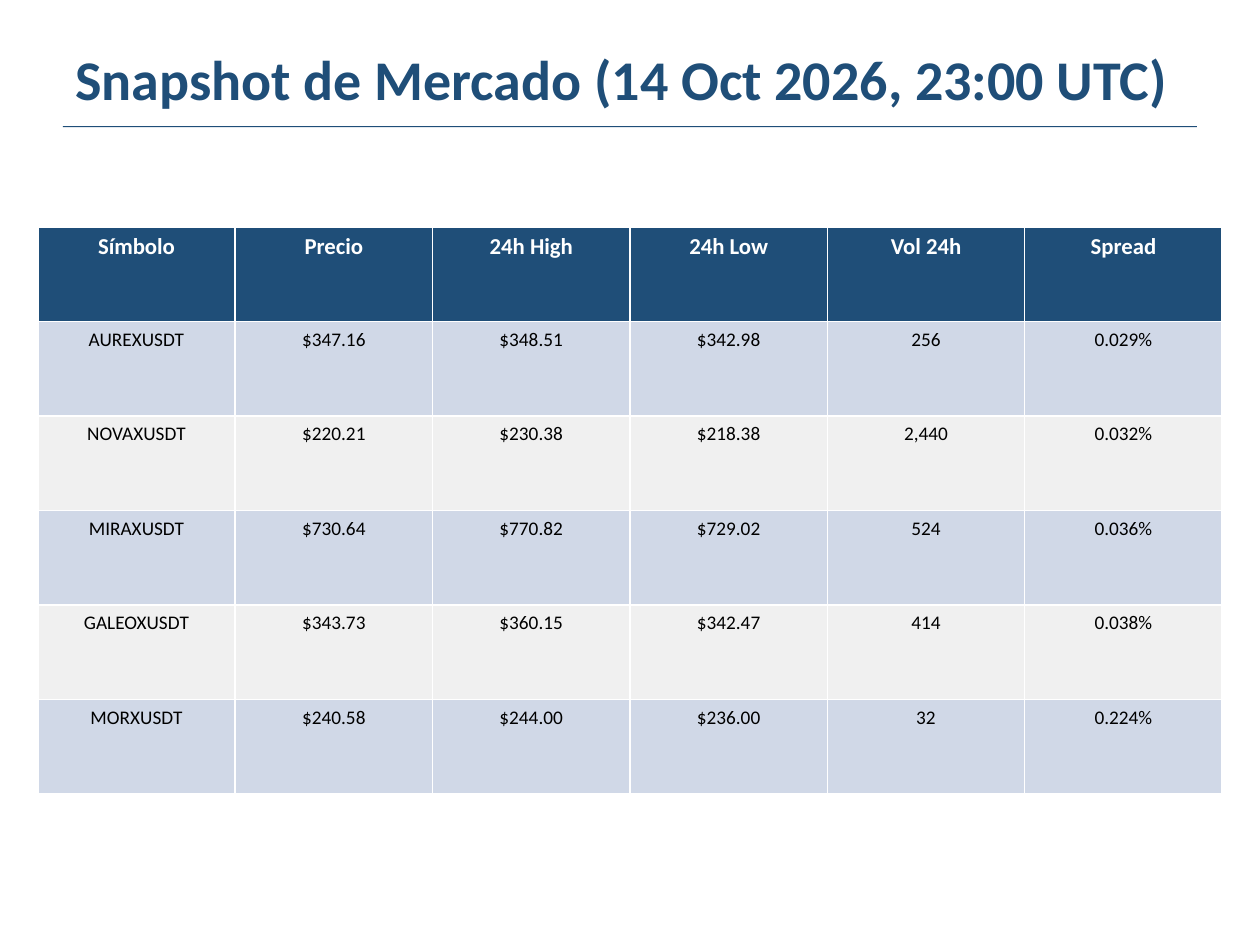
from dataclasses import dataclass

from lxml.etree import SubElement
from pptx import Presentation
from pptx.dml.color import RGBColor as RGB
from pptx.enum.shapes import MSO_SHAPE as Shape
from pptx.enum.text import MSO_AUTO_SIZE as AutoSize, PP_ALIGN as Align
from pptx.oxml.ns import qn
from pptx.util import Pt


@dataclass(frozen=True)
class Theme:
    font: str = "Calibri"
    navy: RGB = RGB(0x1F, 0x4E, 0x78)
    white: RGB = RGB(0xFF, 0xFF, 0xFF)
    black: RGB = RGB(0, 0, 0)
    blue_band: RGB = RGB(0xD0, 0xD8, 0xE7)
    gray_band: RGB = RGB(0xF0, 0xF0, 0xF0)
    title_size: float = 32
    header_size: float = 13
    body_size: float = 11
    border: float = 0.96


@dataclass(frozen=True)
class Box:
    left: float
    top: float
    width: float
    height: float

    def lengths(self) -> tuple:
        return Pt(self.left), Pt(self.top), Pt(self.width), Pt(self.height)


@dataclass(frozen=True)
class RowStyle:
    fill: RGB
    color: RGB
    size: float
    bold: bool = False


THEME = Theme()
TITLE = RowStyle(THEME.white, THEME.navy, THEME.title_size, True)
HEADER = RowStyle(THEME.navy, THEME.white, THEME.header_size, True)
BANDS = (
    RowStyle(THEME.blue_band, THEME.black, THEME.body_size),
    RowStyle(THEME.gray_band, THEME.black, THEME.body_size),
)

QUOTES = (
    ("Símbolo", "Precio", "24h High", "24h Low", "Vol 24h", "Spread"),
    ("AUREXUSDT", "$347.16", "$348.51", "$342.98", "256", "0.029%"),
    ("NOVAXUSDT", "$220.21", "$230.38", "$218.38", "2,440", "0.032%"),
    ("MIRAXUSDT", "$730.64", "$770.82", "$729.02", "524", "0.036%"),
    ("GALEOXUSDT", "$343.73", "$360.15", "$342.47", "414", "0.038%"),
    ("MORXUSDT", "$240.58", "$244.00", "$236.00", "32", "0.224%"),
)


def write(p, text: str, style: RowStyle) -> None:
    r = p.add_run()
    r.text = text
    formats = {"name": THEME.font, "size": Pt(style.size), "bold": style.bold}
    for name, value in formats.items():
        setattr(r.font, name, value)
    r.font.color.rgb = style.color


def add_title(s, text: str, box: Box) -> None:
    tf = s.shapes.add_textbox(*box.lengths()).text_frame
    for name, value in {"word_wrap": True, "auto_size": AutoSize.NONE}.items():
        setattr(tf, name, value)
    write(tf.paragraphs[0], text, TITLE)


def add_rule(s, box: Box) -> None:
    sp = s.shapes.add_shape(Shape.RECTANGLE, *box.lengths())
    sp.shadow.inherit = False
    sp.fill.solid()
    sp.fill.fore_color.rgb = THEME.navy
    sp.line.fill.background()


def add_borders(cell) -> None:
    props = cell._tc.get_or_add_tcPr()
    for side in ("lnL", "lnR", "lnT", "lnB"):
        ln = SubElement(props, qn(f"a:{side}"), w=str(Pt(THEME.border)))
        fill = SubElement(ln, qn("a:solidFill"))
        SubElement(fill, qn("a:srgbClr"), val=str(THEME.white))


def fill_cell(cell, text: str, style: RowStyle) -> None:
    add_borders(cell)
    cell.fill.solid()
    cell.fill.fore_color.rgb = style.fill
    p = cell.text_frame.paragraphs[0]
    p.alignment = Align.CENTER
    write(p, text, style)


def add_quotes(s, rows: tuple, box: Box) -> None:
    table = s.shapes.add_table(len(rows), len(rows[0]), *box.lengths()).table
    for i, row in enumerate(rows):
        style = BANDS[(i - 1) % len(BANDS)] if i else HEADER
        for j, text in enumerate(row):
            fill_cell(table.cell(i, j), text, style)


def main() -> None:
    prs = Presentation()
    prs.slide_width, prs.slide_height = Pt(720), Pt(540)
    s = prs.slides.add_slide(prs.slide_layouts[6])
    add_title(s, "Snapshot de Mercado (14 Oct 2026, 23:00 UTC)", Box(36, 21.6, 648, 45.6))
    add_rule(s, Box(36, 72, 648, 0.72))
    add_quotes(s, QUOTES, Box(21.6, 129.6, 676.8, 324))
    prs.save("out.pptx")


if __name__ == "__main__":
    main()
